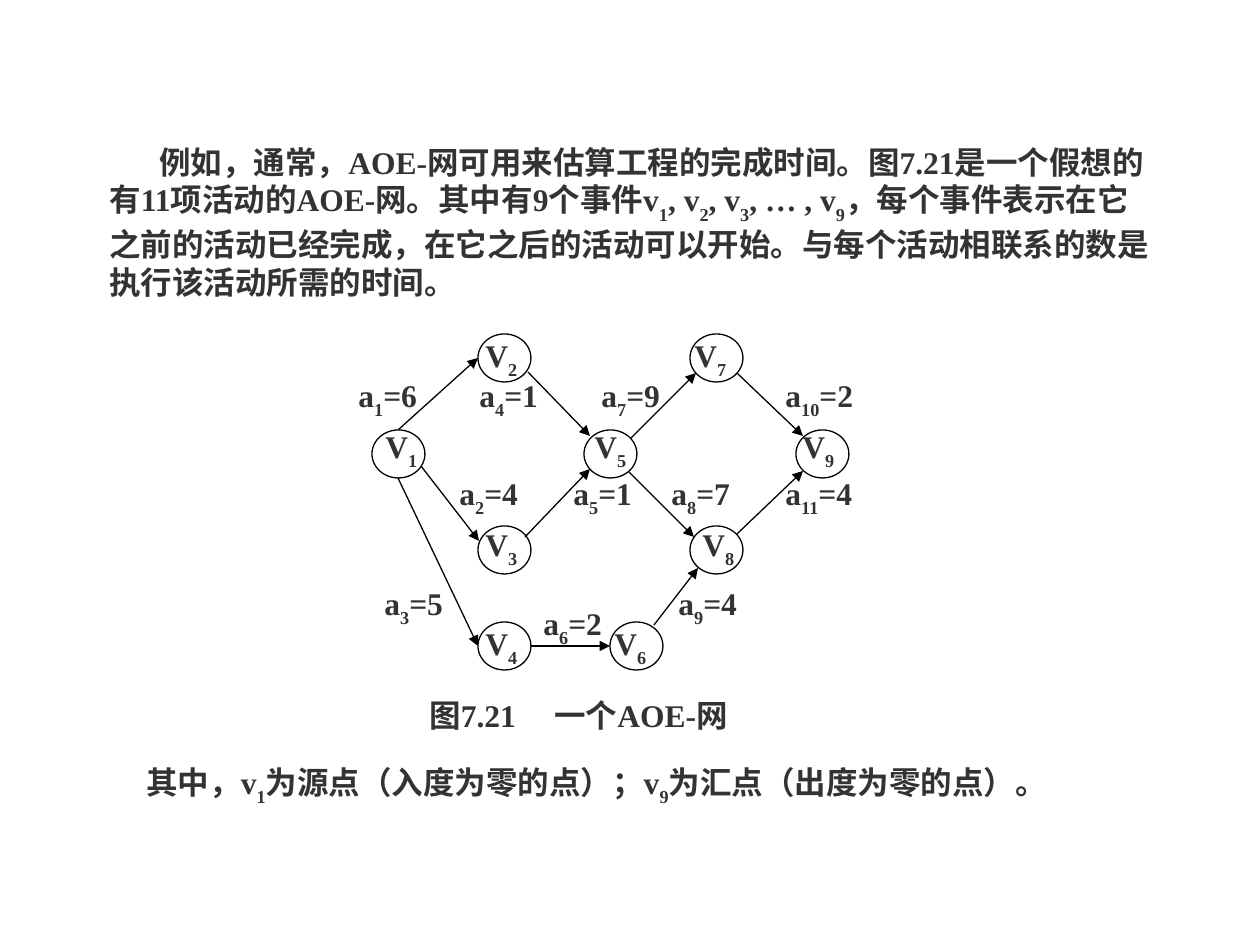
from lxml.etree import SubElement
from pptx import Presentation
from pptx.dml.color import RGBColor
from pptx.enum.shapes import MSO_CONNECTOR, MSO_SHAPE
from pptx.enum.text import MSO_ANCHOR
from pptx.oxml.ns import qn
from pptx.util import Pt

EMU_PER_PX = 914400 / 126
FONT = "Times New Roman"
INK = RGBColor(0x33, 0x33, 0x33)
BLACK = RGBColor(0, 0, 0)
WHITE = RGBColor(0xFF, 0xFF, 0xFF)

NODE_W, NODE_H = 53, 48
COL_X = [372 + 106 * i for i in range(5)]
ROW_Y = [334 + 96 * i for i in range(4)]
NAME_Y = [329, 420, 518, 617]
INSET = 13
LABEL_W = 105

# Event: number, left of circle, row, left of name box
EVENTS = [
    ("1", COL_X[0], 1, 373), ("2", COL_X[1], 0, 473), ("3", COL_X[1], 2, 473),
    ("4", COL_X[1], 3, 473), ("5", COL_X[2], 1, 582), ("6", 610, 3, 602),
    ("7", COL_X[3], 0, 682), ("8", COL_X[3], 2, 690), ("9", COL_X[4], 1, 790),
]

# Activity: number, duration, text left, box top, arrow start and end
ACTIVITIES = [
    ("1", 6, 359, 369, (398, 430), (478, 358)),
    ("2", 4, 460, 467, (421, 466), (479, 541)),
    ("3", 5, 385, 577, (398, 478), (478, 646)),
    ("4", 1, 480, 369, (528, 372), (590, 436)),
    ("5", 1, 574, 467, (525, 537), (590, 469)),
    ("6", 2, 544, 597, (531, 646), (610, 646)),
    ("7", 9, 602, 369, (631, 438), (696, 373)),
    ("8", 7, 672, 467, (629, 472), (694, 537)),
    ("9", 4, 679, 577, (654, 625), (698, 568)),
    ("10", 2, 786, 369, (737, 373), (803, 436)),
    ("11", 4, 786, 467, (737, 534), (803, 471)),
]

INTRO = [
    "例如，通常，AOE-网可用来估算工程的完成时间。图7.21是一个假想的",
    "有11项活动的AOE-网。其中有9个事件v|1|, v|2|, v|3|, … , v|9|，每个事件表示在它",
    "之前的活动已经完成，在它之后的活动可以开始。与每个活动相联系的数是",
    "执行该活动所需的时间。",
]


def px(n):
    return round(n * EMU_PER_PX)


def add_runs(p, text):
    """Every second part between bars is a subscript."""
    for i, part in enumerate(text.split("|")):
        if not part:
            continue
        r = p.add_run()
        r.text = part
        r.font.name = FONT
        r.font.size = Pt(18)
        r.font.bold = True
        r.font.color.rgb = INK
        if i % 2:
            r._r.get_or_add_rPr().set("baseline", "-30000")


def add_text(s, x, y, w, h, lines, indent=0, tab=0):
    tf = s.shapes.add_textbox(px(x), px(y), px(w), px(h)).text_frame
    tf.word_wrap = False
    tf.vertical_anchor = MSO_ANCHOR.MIDDLE
    for i, line in enumerate(lines):
        p = tf.paragraphs[0] if i == 0 else tf.add_paragraph()
        pPr = p._p.get_or_add_pPr()
        if indent and i == 0:
            pPr.set("marL", "0")
            pPr.set("indent", str(px(indent)))
        if tab:
            tabs = SubElement(pPr, qn("a:tabLst"))
            SubElement(tabs, qn("a:tab"), pos=str(px(tab)), algn="l")
        add_runs(p, line)


def add_node(s, x, y):
    sp = s.shapes.add_shape(MSO_SHAPE.OVAL, px(x), px(y), px(NODE_W), px(NODE_H))
    sp.shadow.inherit = False
    sp.fill.solid()
    sp.fill.fore_color.rgb = WHITE
    sp.line.color.rgb = BLACK
    sp.line.width = Pt(0.75)


def add_arrow(s, start, end):
    c = s.shapes.add_connector(MSO_CONNECTOR.STRAIGHT, *map(px, start + end))
    c.line.color.rgb = BLACK
    c.line.width = Pt(0.75)
    SubElement(c.line._get_or_add_ln(), qn("a:tailEnd"), type="triangle")
    SubElement(c._element.spPr, qn("a:effectLst"))


def main():
    prs = Presentation()
    prs.slide_width, prs.slide_height = px(1260), px(945)
    s = prs.slides.add_slide(prs.slide_layouts[6])

    # Explanation above and below the network
    add_text(s, 97, 136, 1106, 171, INTRO, indent=50)
    add_text(s, 134, 756, 955, 58,
             ["其中，v|1|为源点（入度为零的点）；v|9|为汇点（出度为零的点）。"])

    # Network: circles, arrows, then names and durations on top
    for _, x, row, _ in EVENTS:
        add_node(s, x, ROW_Y[row])
    for *_, start, end in ACTIVITIES:
        add_arrow(s, start, end)
    for number, _, row, name_x in EVENTS:
        add_text(s, name_x, NAME_Y[row], 57, 58, [f"V|{number}"])
    for number, days, x, y, _, _ in ACTIVITIES:
        add_text(s, x - INSET, y, LABEL_W, 58, [f"a|{number}|={days}"])

    # Caption
    add_text(s, 417, 689, 339, 51, ["图7.21\t一个AOE-网"], tab=125)

    prs.save("out.pptx")


if __name__ == "__main__":
    main()
